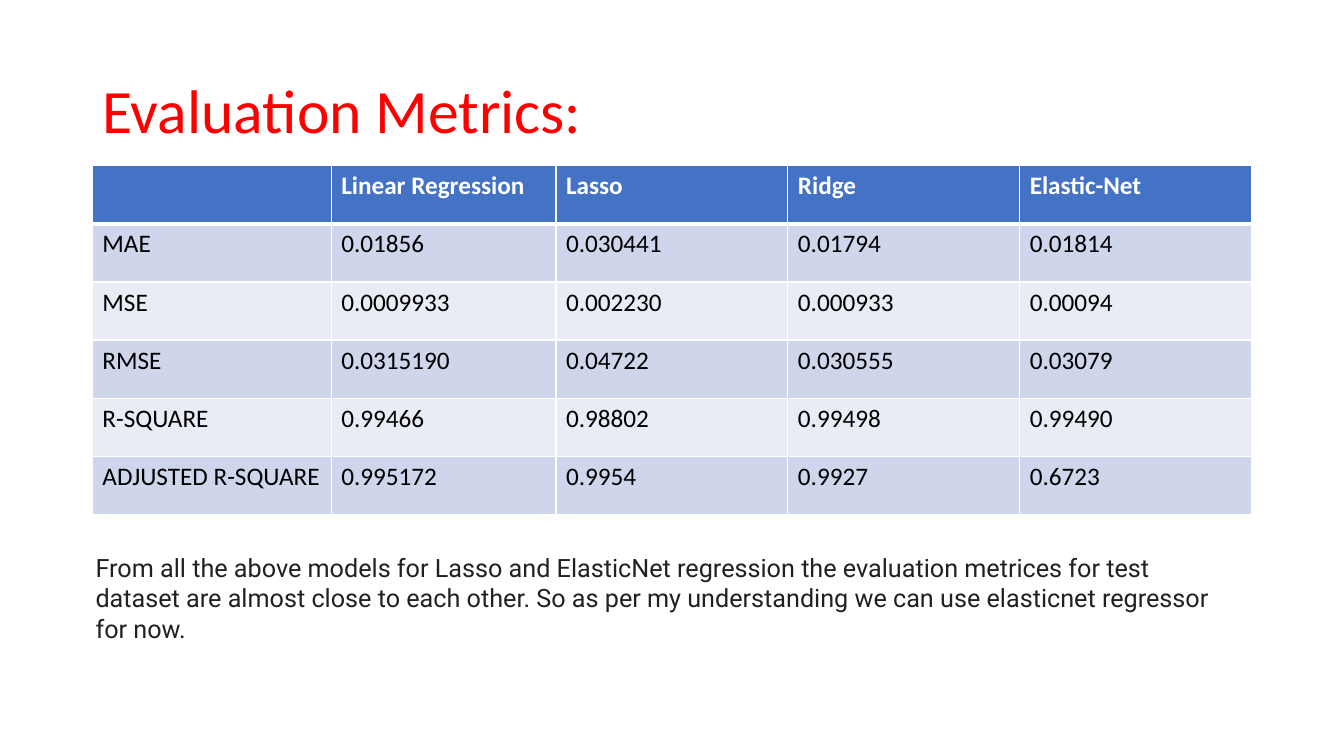
from lxml import etree
from pptx import Presentation
from pptx import util as u
from pptx.dml.color import RGBColor
from pptx.enum import text as t
from pptx.oxml import ns


def color(hex_string):
    return RGBColor.from_string(hex_string)


def write(frame, text, size=18, font="Calibri", fill="000000", bold=False, spacing=1.0):
    frame.word_wrap = True
    paragraph = frame.paragraphs[0]
    paragraph.line_spacing = spacing
    run = paragraph.add_run()
    run.text = text
    run.font.size = u.Pt(size)
    run.font.name = font
    run.font.bold = bold
    run.font.color.rgb = color(fill)


presentation = Presentation()
presentation.slide_width = u.Pt(960)
presentation.slide_height = u.Pt(540)
slide = presentation.slides.add_slide(presentation.slide_layouts[6])

title = slide.shapes.add_textbox(u.Pt(66), u.Pt(28.75), u.Pt(828), u.Pt(104.4))
title.text_frame.vertical_anchor = t.MSO_ANCHOR.MIDDLE
write(title.text_frame, "Evaluation Metrics:", size=44, fill="FF0000", spacing=0.9)

metrics = [
    ["", "Linear Regression", "Lasso", "Ridge", "Elastic-Net"],
    ["MAE", "0.01856", "0.030441", "0.01794", "0.01814"],
    ["MSE", "0.0009933", "0.002230", "0.000933", "0.00094"],
    ["RMSE", "0.0315190", "0.04722", "0.030555", "0.03079"],
    ["R-SQUARE", "0.99466", "0.98802", "0.99498", "0.99490"],
    ["ADJUSTED R-SQUARE", "0.995172", "0.9954", "0.9927", "0.6723"],
]
column_widths = [170.6, 160.6, 165.6, 165.6, 165.6]
row_height = 41.5
table = slide.shapes.add_table(
    len(metrics), len(column_widths),
    u.Pt(66), u.Pt(118.4), u.Pt(sum(column_widths)), u.Pt(row_height * len(metrics)),
).table
for column, width in zip(table.columns, column_widths):
    column.width = u.Pt(width)

for row_index, values in enumerate(metrics):
    table.rows[row_index].height = u.Pt(row_height)
    header = row_index == 0
    row_fill = "4472C4" if header else ("E9EBF5", "CFD5EA")[row_index % 2]
    for column_index, value in enumerate(values):
        cell = table.cell(row_index, column_index)
        properties = cell._tc.get_or_add_tcPr()
        for side in ("lnL", "lnR", "lnT", "lnB"):
            heavy = (side == "lnB" and header) or (side == "lnT" and row_index == 1)
            line = etree.SubElement(properties, ns.qn("a:" + side), w=str(u.Pt(3 if heavy else 1)))
            line_fill = etree.SubElement(line, ns.qn("a:solidFill"))
            etree.SubElement(line_fill, ns.qn("a:srgbClr"), val="FFFFFF")
        cell.fill.solid()
        cell.fill.fore_color.rgb = color(row_fill)
        if value:
            write(cell.text_frame, value, fill="FFFFFF" if header else "000000", bold=header)

conclusion = slide.shapes.add_textbox(u.Pt(61.2), u.Pt(391), u.Pt(828), u.Pt(72.7))
write(
    conclusion.text_frame,
    "From all the above models for Lasso and ElasticNet regression the evaluation metrices "
    "for test dataset are almost close to each other. So as per my understanding we can use "
    "elasticnet regressor for now.",
    font="Roboto", fill="212121",
)

presentation.save("out.pptx")
